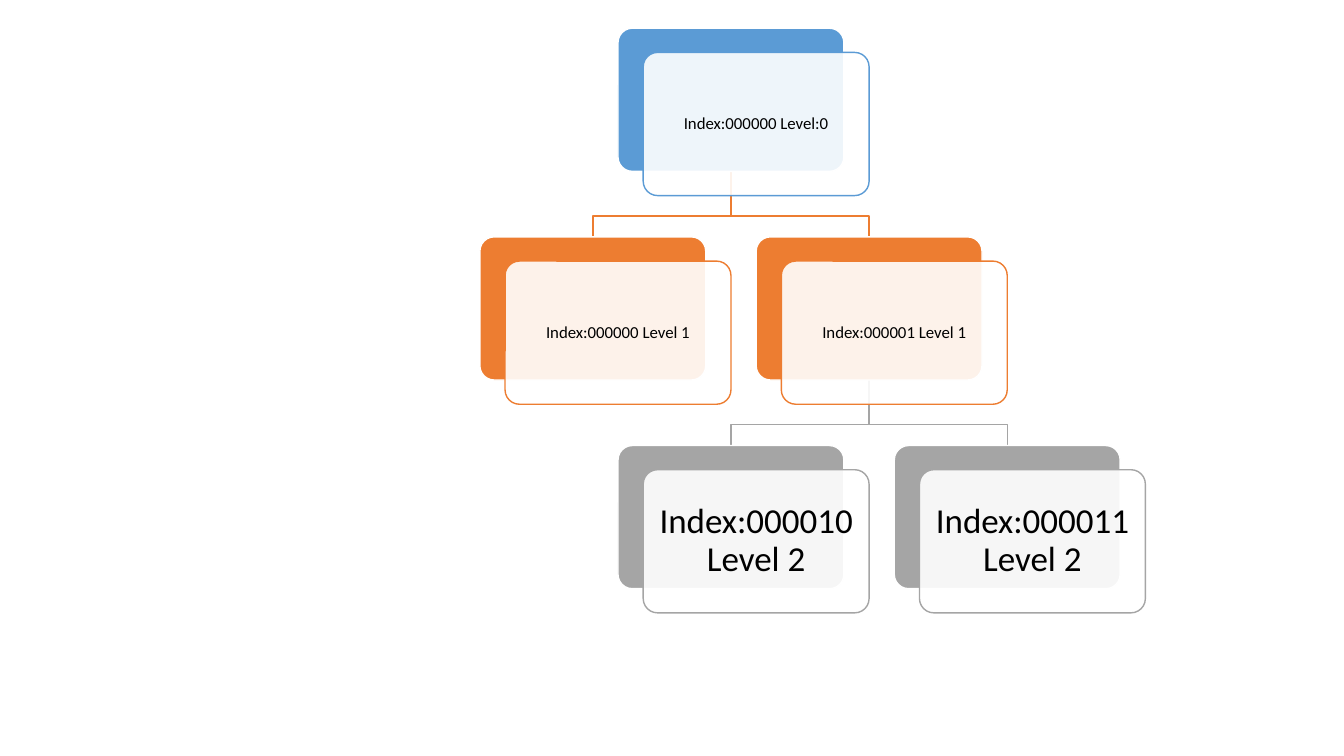
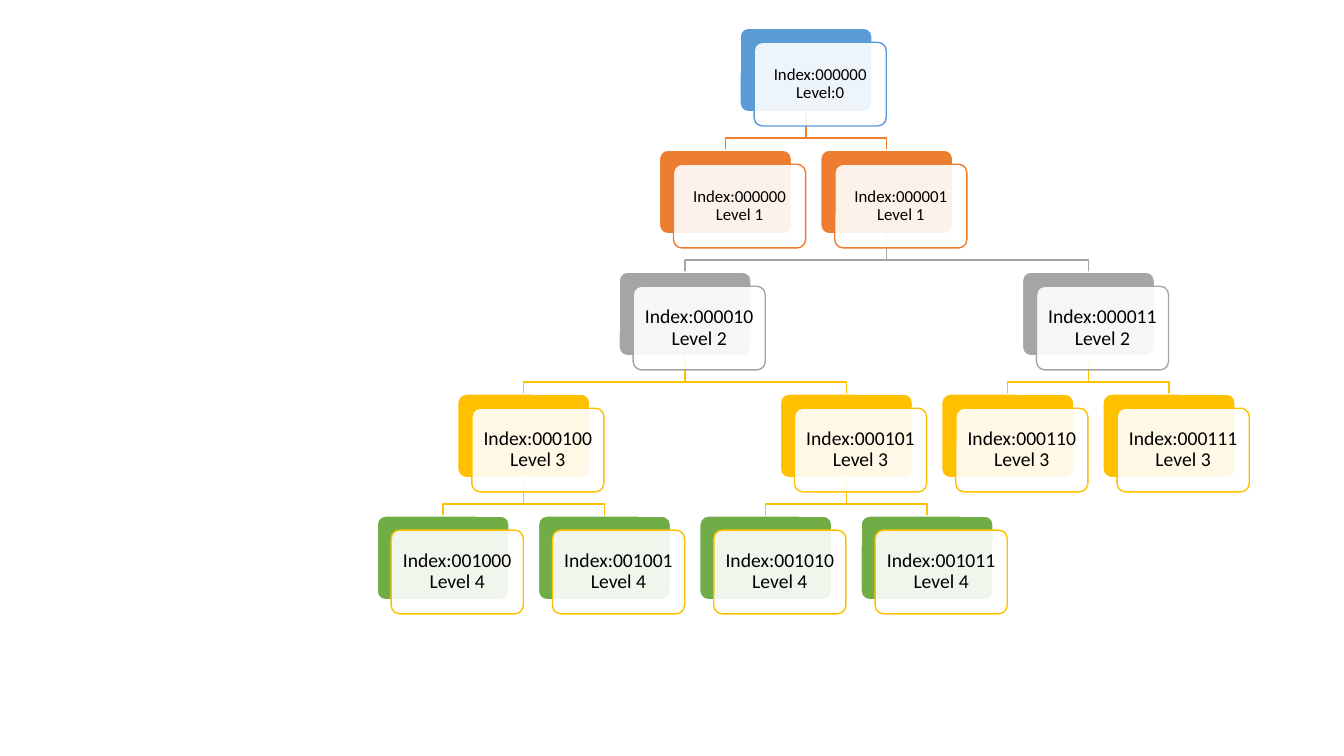
from pptx import Presentation
from pptx.dml.color import RGBColor
from pptx.enum.shapes import MSO_SHAPE
from pptx.enum.text import MSO_ANCHOR, PP_ALIGN
from pptx.oxml.ns import qn
from pptx.oxml.xmlchemy import OxmlElement
from pptx.util import Inches, Pt

# Each level's card fill and the colour of its outlines and branches.
LEVEL_COLORS = [
    ("5B9BD5", "5B9BD5"),
    ("ED7D31", "ED7D31"),
    ("A5A5A5", "A5A5A5"),
    ("FFC000", "FFC000"),
    ("70AD47", "FFC000"),
]
WHITE, BLACK = "FFFFFF", "000000"
FONT = "Calibri"
TOP = 0.28
BEND = 0.68  # share of the gap above a branch's turn

# Indices are binary: the children of i are 2i and 2i + 1 on the next level.
TREES = [
    {
        "levels": [[0b0], [0b0, 0b1], [0b10, 0b11]],
        "text": [(12, 0.05), (12, 0.05), (25, 0.1)],  # size, inset per level
        "root_left": 6.13, "card": (2.24, 1.42),
        "pitch": (2.74, 2.07), "offset": (0.25, 0.24),
    },
    {
        "levels": [[0b0], [0b0, 0b1], [0b10, 0b11],
                   [0b100, 0b101, 0b110, 0b111],
                   [0b1000, 0b1001, 0b1010, 0b1011]],
        "text": [(12, 0.05), (12, 0.05), (14, 0.06), (14, 0.06), (14, 0.06)],
        "root_left": 7.34, "card": (1.31, 0.83),
        "pitch": (1.6, 1.21), "offset": (0.14, 0.14),
    },
]


def color(hex_text):
    """Turn a hex string into a colour."""
    return RGBColor.from_string(hex_text)


def label_for(level, index):
    """Give the wording of one node."""
    return f"Index:{index:06b} Level{' ' if level else ':'}{level}"


def arrange(levels, level=0, index=0):
    """Return one {index: column} dict per level, with this node at column 0."""
    below = levels[level + 1] if level + 1 < len(levels) else []
    children = [child for child in below if child // 2 == index]
    merged, columns = [], []
    for child in children:
        branch = arrange(levels, level + 1, child)
        shift = max((max(left.values()) + 1 - min(right.values())
                     for left, right in zip(merged, branch)), default=0)
        columns.append(shift)
        for depth, row in enumerate(branch):
            if depth == len(merged):
                merged.append({})
            merged[depth].update({key: col + shift for key, col in row.items()})
    middle = sum(columns) / len(columns) if columns else 0
    return [{index: 0}] + [{key: col - middle for key, col in row.items()}
                           for row in merged]


def add_card(page, left, top, size, fill, line, alpha=None):
    """Add a rounded card with an optional fill opacity in percent."""
    box = page.shapes.add_shape(MSO_SHAPE.ROUNDED_RECTANGLE, Inches(left),
                                Inches(top), *map(Inches, size))
    box.adjustments[0] = 0.1
    box.shadow.inherit = False
    box.fill.solid()
    box.fill.fore_color.rgb = color(fill)
    if alpha is not None:
        opacity = OxmlElement("a:alpha")
        opacity.set("val", str(alpha * 1000))
        box.element.spPr.find(qn("a:solidFill")).find(qn("a:srgbClr")).append(opacity)
    box.line.color.rgb = color(line)
    box.line.width = Pt(1)
    return box


def write(box, text, size=12, inset=0.05, ink=BLACK):
    """Write centred text in a box."""
    frame = box.text_frame
    frame.word_wrap = True
    frame.vertical_anchor = MSO_ANCHOR.MIDDLE
    frame.margin_left = frame.margin_right = Inches(inset)
    frame.margin_top = frame.margin_bottom = Inches(inset)
    para = frame.paragraphs[0]
    para.alignment = PP_ALIGN.CENTER
    para.line_spacing = 0.9
    span = para.add_run()
    span.text = text
    span.font.name = FONT
    span.font.size = Pt(size)
    span.font.color.rgb = color(ink)


def add_branch(page, start, end, line):
    """Draw an elbow from a parent's bottom to a child's top."""
    turn = start[1] + BEND * (end[1] - start[1])
    points = [start, (start[0], turn), (end[0], turn), end]
    corners = [(Inches(x), Inches(y)) for x, y in points]
    builder = page.shapes.build_freeform(*corners[0], scale=1.0)
    builder.add_line_segments(corners[1:], close=False)
    branch = builder.convert_to_shape()
    branch.shadow.inherit = False
    branch.fill.background()
    branch.line.color.rgb = color(line)
    branch.line.width = Pt(1)


def add_tree(page, tree):
    """Draw all branches, then all cards of one tree."""
    width, height = tree["card"]
    step_x, step_y = tree["pitch"]
    shift_x, shift_y = tree["offset"]
    places = {(level, index): (tree["root_left"] + col * step_x, TOP + level * step_y)
              for level, row in enumerate(arrange(tree["levels"]))
              for index, col in row.items()}
    for (level, index), (left, top) in places.items():
        if level:
            parent_left, parent_top = places[level - 1, index // 2]
            add_branch(page, (parent_left + width / 2, parent_top + height),
                       (left + width / 2, top), LEVEL_COLORS[level][1])
    for (level, index), (left, top) in places.items():
        fill, line = LEVEL_COLORS[level]
        size, inset = tree["text"][level]
        add_card(page, left, top, tree["card"], fill, WHITE)
        front = add_card(page, left + shift_x, top + shift_y, tree["card"],
                         WHITE, line, alpha=90)
        write(front, label_for(level, index), size=size, inset=inset)


deck = Presentation()
deck.slide_width, deck.slide_height = Inches(13.33), Inches(7.5)
for tree in TREES:
    add_tree(deck.slides.add_slide(deck.slide_layouts[6]), tree)
deck.save("out.pptx")
